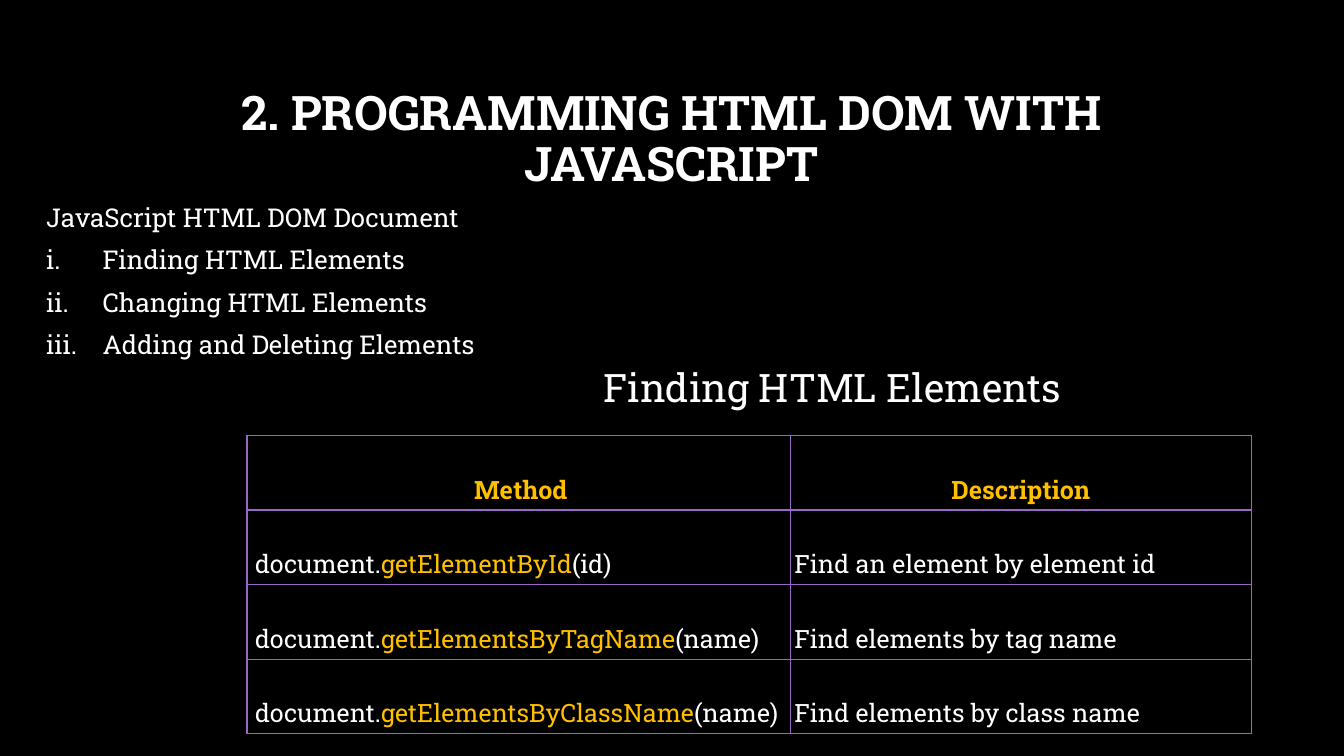
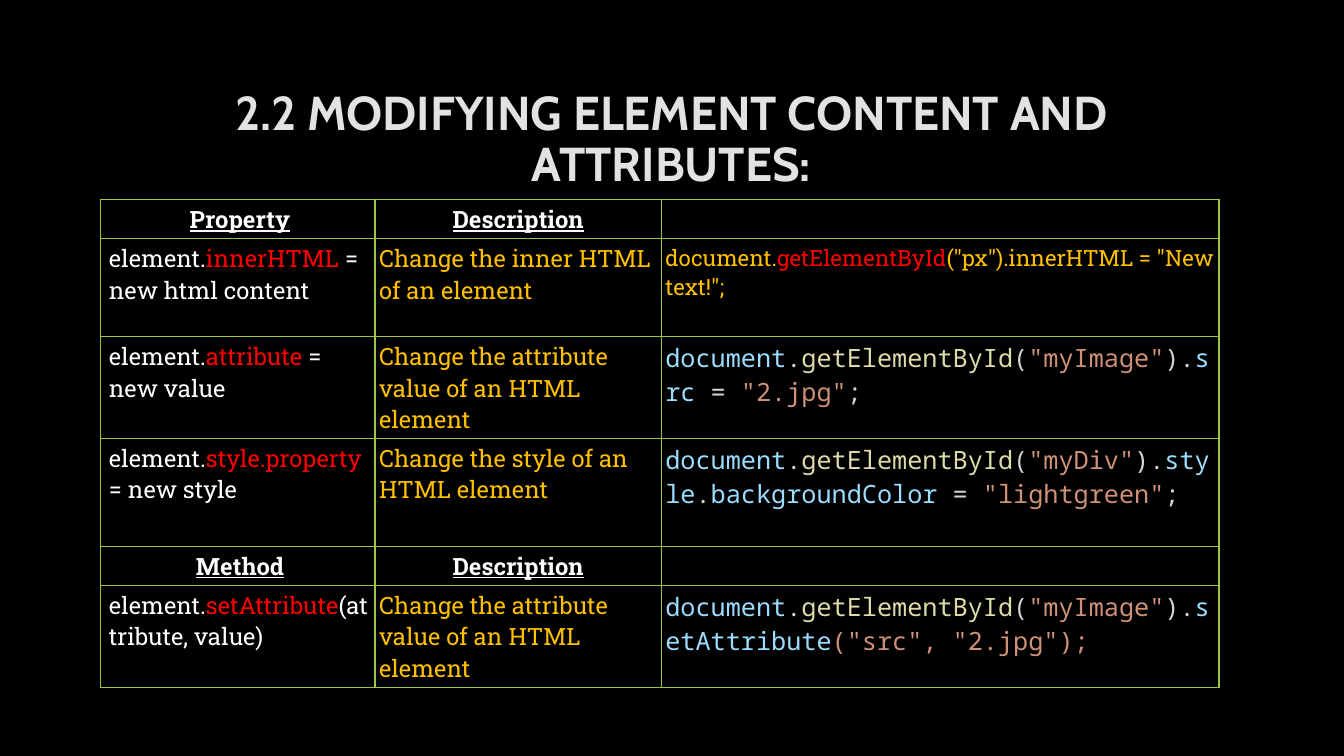
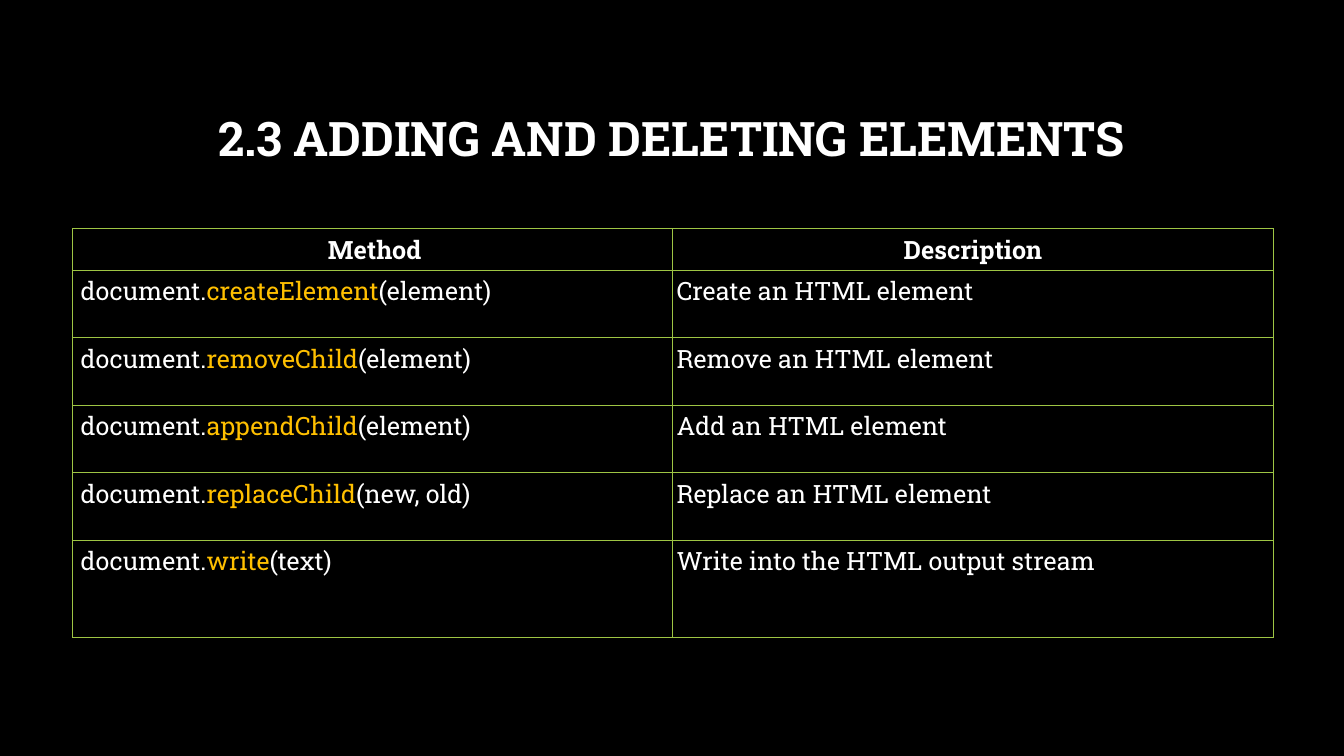
from lxml import etree
from pptx import Presentation
from pptx.dml.color import RGBColor
from pptx.enum import text
from pptx.oxml import ns
from pptx.util import Inches, Pt

BLACK = RGBColor(0x00, 0x00, 0x00)
WHITE = RGBColor(0xFF, 0xFF, 0xFF)
SILVER = RGBColor(0xE2, 0xE2, 0xE5)
AMBER = RGBColor(0xFF, 0xC0, 0x00)
RED = RGBColor(0xFF, 0x00, 0x00)
PURPLE = RGBColor(0x9A, 0x66, 0xCA)
GREEN = RGBColor(0x9E, 0xC5, 0x44)

# Code highlighting
CODE_NAME = RGBColor(0x9C, 0xDC, 0xFE)
CODE_MARK = RGBColor(0xD4, 0xD4, 0xD4)
CODE_CALL = RGBColor(0xDC, 0xDC, 0xAA)
CODE_STRING = RGBColor(0xCE, 0x91, 0x78)

SLAB = "Roboto Slab"
MONO = "Noto Sans Mono"
CENTER = text.PP_ALIGN.CENTER
MIDDLE = text.MSO_ANCHOR.MIDDLE


def set_attrs(obj, values):
    for name, value in values.items():
        setattr(obj, name, value)


def add_run(p, words, color=WHITE, size=18, **fmt):
    r = p.add_run()
    r.text = words
    r.font.color.rgb = color
    set_attrs(r.font, {"name": SLAB, "size": Pt(size), **fmt})


def add_text(s, box, lines, size, color=WHITE, fmt=None, **font):
    sp = s.shapes.add_textbox(*map(Inches, box))
    tf = sp.text_frame
    tf.word_wrap = True
    for i, line in enumerate(lines):
        p = tf.paragraphs[0] if i == 0 else tf.add_paragraph()
        set_attrs(p, fmt or {})
        add_run(p, line, color, size, **font)
    return tf


def add_title_slide(prs, title, color=WHITE, font=SLAB):
    s = prs.slides.add_slide(prs.slide_layouts[6])
    s.background.fill.solid()
    s.background.fill.fore_color.rgb = BLACK
    tf = add_text(s, (1, 0.67, 11.32, 1.45), [title], 34, color,
                  {"alignment": CENTER, "line_spacing": 0.9},
                  name=font, bold=True)
    tf.vertical_anchor = MIDDLE
    return s


def number_roman(p):
    p.space_before = Pt(8)
    pPr = p._p.get_or_add_pPr()
    indent = Inches(0.56)
    pPr.set("marL", str(indent))
    pPr.set("indent", str(-indent))
    etree.SubElement(pPr, ns.qn("a:buFont"), typeface="+mj-lt")
    etree.SubElement(pPr, ns.qn("a:buAutoNum"), type="romanLcPeriod")


# Cell contents: a list of runs plus paragraph format
def cell_text(*runs, **fmt):
    return runs, fmt


def header(words, color=WHITE, size=18, underline=False):
    run = (words, color, size, {"bold": True, "underline": underline})
    return cell_text(run, alignment=CENTER)


def plain(words, color=WHITE, size=18):
    return cell_text((words, color, size, {}))


def member(owner, name, rest, accent=AMBER, size=18, color=WHITE):
    return cell_text(*((words, c, size, {}) for words, c in
                       ((owner, color), (name, accent), (rest, color))))


def code(argument, *rest):
    parts = [("document", CODE_NAME), (".", CODE_MARK),
             ("getElementById", CODE_CALL), ("(", CODE_MARK),
             (argument, CODE_STRING), (").", CODE_MARK), *rest]
    return cell_text(*((words, c, 18, {"name": MONO}) for words, c in parts))


def assign(value):
    return (" = ", CODE_MARK), (value, CODE_STRING), (";", CODE_MARK)


def add_borders(cell, color):
    tcPr = cell._tc.get_or_add_tcPr()
    for side in ("lnL", "lnR", "lnT", "lnB"):
        ln = etree.SubElement(tcPr, ns.qn("a:" + side), w=str(Pt(1)))
        fill = etree.SubElement(ln, ns.qn("a:solidFill"))
        etree.SubElement(fill, ns.qn("a:srgbClr"), val=str(color))


def add_grid(s, left, top, widths, heights, rows, border, spacing=1.0):
    tbl = s.shapes.add_table(
        len(rows), len(widths), Inches(left), Inches(top),
        Inches(sum(widths)), Inches(sum(heights))).table
    tbl.first_row = tbl.horz_banding = False
    for column, width in zip(tbl.columns, widths):
        column.width = Inches(width)
    for r, (height, row) in enumerate(zip(heights, rows)):
        tbl.rows[r].height = Inches(height)
        for c, (runs, fmt) in enumerate(row):
            cell = tbl.cell(r, c)
            add_borders(cell, border)
            cell.fill.solid()
            cell.fill.fore_color.rgb = BLACK
            margin = Inches(0.04)
            set_attrs(cell, {"margin_left": Inches(0.04 if c else 0.08),
                             "margin_right": margin, "margin_top": margin,
                             "margin_bottom": margin})
            p = cell.text_frame.paragraphs[0]
            set_attrs(p, {"line_spacing": spacing, **fmt})
            for words, color, size, font in runs:
                add_run(p, words, color, size, **font)
    return tbl


def finding_slide(prs):
    s = add_title_slide(prs, "2. PROGRAMMING HTML DOM WITH JAVASCRIPT")
    tf = add_text(s, (0.36, 1.95, 5.97, 1.82),
                  ["JavaScript HTML DOM Document", "Finding HTML Elements",
                   "Changing HTML Elements", "Adding and Deleting Elements"],
                  18.5)
    for p in tf.paragraphs[1:]:
        number_roman(p)
    methods = [("getElementById", "(id)", "Find an element by element id"),
               ("getElementsByTagName", "(name)", "Find elements by tag name"),
               ("getElementsByClassName", "(name)",
                "Find elements by class name")]
    rows = [[header("Method", AMBER), header("Description", AMBER)]]
    rows += [[member("document.", name, args), plain(use)]
             for name, args, use in methods]
    tbl = add_grid(s, 2.45, 4.32, (5.39, 4.57), [0.74] * 4, rows, PURPLE, 2.0)
    for cell in tbl.rows[0].cells:
        cell.vertical_anchor = MIDDLE
    add_text(s, (5.89, 3.56, 4.98, 0.57), ["Finding HTML Elements"], 28)


def modifying_slide(prs):
    s = add_title_slide(prs, "2.2 MODIFYING ELEMENT CONTENT AND ATTRIBUTES:",
                        SILVER, "Cabin")

    def heading(first):
        return [header(first, size=17, underline=True),
                header("Description", size=17, underline=True), cell_text()]

    def entry(name, rest, use, example):
        return [member("element.", name, rest, RED, 17),
                plain(use, AMBER, 17), example]

    change_attribute = "Change the attribute value of an HTML element"
    rows = [
        heading("Property"),
        entry("innerHTML", " =  new html content",
              "Change the inner HTML of an element",
              member("document.", "getElementById",
                     '("px").innerHTML = "New text!";', RED, 16, AMBER)),
        entry("attribute", " = new value", change_attribute,
              code('"myImage"', ("src", CODE_NAME), *assign('"2.jpg"'))),
        entry("style.property ", "= new style",
              "Change the style of an HTML element",
              code('"myDiv"', ("style", CODE_NAME), (".", CODE_MARK),
                   ("backgroundColor", CODE_NAME), *assign('"lightgreen"'))),
        heading("Method"),
        entry("setAttribute", "(attribute, value)", change_attribute,
              code('"myImage"', ("setAttribute", CODE_NAME),
                   ('("src", "2.jpg");', CODE_STRING))),
    ]
    add_grid(s, 1, 1.98, (2.72, 2.84, 5.53),
             (0.39, 0.97, 1.01, 1.07, 0.39, 1.01), rows, GREEN)


def adding_slide(prs):
    s = add_title_slide(prs, "2.3 ADDING AND DELETING ELEMENTS")
    methods = [("createElement", "(element)", "Create an HTML element"),
               ("removeChild", "(element)", "Remove an HTML element"),
               ("appendChild", "(element)", "Add an HTML element"),
               ("replaceChild", "(new, old)", "Replace an HTML element"),
               ("write", "(text)", "Write into the HTML output stream")]
    rows = [[header("Method"), header("Description")]]
    rows += [[member("document.", name, args), plain(use)]
             for name, args, use in methods]
    add_grid(s, 0.72, 2.27, (5.95, 5.96), [0.41] + [0.67] * 4 + [0.97],
             rows, GREEN)


def main():
    prs = Presentation()
    prs.slide_width, prs.slide_height = Inches(13.33), Inches(7.5)
    finding_slide(prs)
    modifying_slide(prs)
    adding_slide(prs)
    prs.save("out.pptx")


if __name__ == "__main__":
    main()
